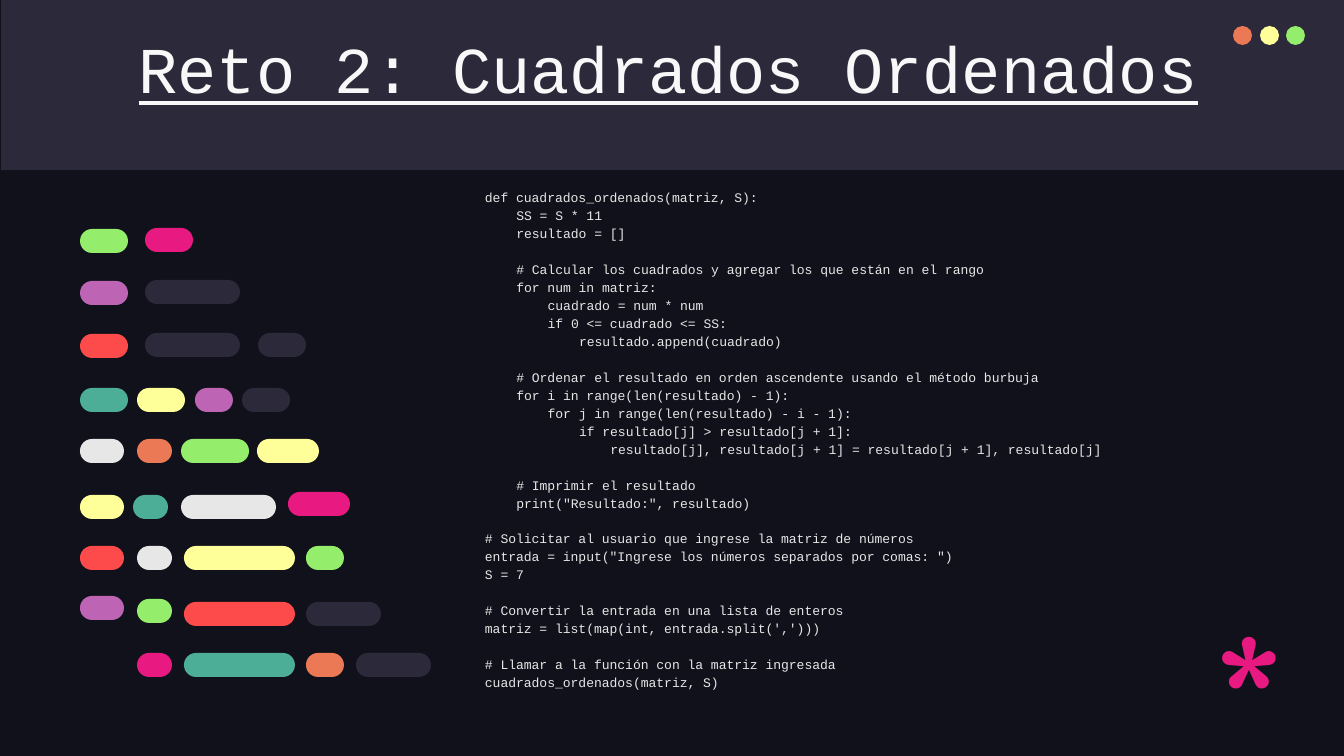
from pptx import Presentation
from pptx.dml.color import RGBColor
from pptx.enum.shapes import MSO_SHAPE as SHAPE
from pptx.enum.text import MSO_ANCHOR as ANCHOR, PP_ALIGN as ALIGN
from pptx.util import Pt

PX = 9144000 / 1344  # EMU per px, slide is 1344 x 756 px
COLORS = {
    "background": "10111A", "dark": "2C293A", "white": "F8F8F8",
    "light": "E7E7E7", "orange": "EC7955", "yellow": "FFFF99",
    "green": "94EE6B", "pink": "E81A81", "purple": "BD64B5",
    "red": "FD4A4A", "teal": "4CAE97",
}

presentation = Presentation()
presentation.slide_width = round(1344 * PX)
presentation.slide_height = round(756 * PX)
slide = presentation.slides.add_slide(presentation.slide_layouts[6])
slide.background.fill.solid()
slide.background.fill.fore_color.rgb = RGBColor.from_string(COLORS["background"])


def add_block(kind, left, top, width, height, color):
    shape = slide.shapes.add_shape(kind, *(round(n * PX) for n in (left, top, width, height)))
    shape.shadow.inherit = False
    shape.fill.solid()
    shape.fill.fore_color.rgb = RGBColor.from_string(COLORS[color])
    shape.line.fill.background()
    return shape


def add_text(left, top, width, height, lines, font_name, size, color):
    box = slide.shapes.add_textbox(*(round(n * PX) for n in (left, top, width, height)))
    frame = box.text_frame
    frame.word_wrap = True
    frame.vertical_anchor = ANCHOR.TOP
    frame.margin_left = frame.margin_right = round(13 * PX)
    frame.margin_top = frame.margin_bottom = round(13 * PX)
    frame.text = "\n".join(lines)
    for paragraph in frame.paragraphs:
        paragraph.font.name = font_name
        paragraph.font.size = Pt(size)
        paragraph.font.color.rgb = RGBColor.from_string(COLORS[color])
    return frame


# Header band with window dots
add_block(SHAPE.RECTANGLE, 1, 0, 1343, 170, "dark")
for left, color in ((1233, "orange"), (1260, "yellow"), (1286, "green")):
    add_block(SHAPE.OVAL, left, 26, 19, 19, color)

# Title
title = add_text(102, 3, 1133, 85, ["Reto 2: Cuadrados Ordenados"], "Courier New", 35, "white")
title.margin_top = round(25 * PX)
title.paragraphs[0].alignment = ALIGN.CENTER
title.paragraphs[0].font.underline = True

# Pills that stand for lines of code: left, top, width, color
PILLS = [
    (80, 229, 48, "green"), (145, 228, 48, "pink"),
    (80, 281, 48, "purple"), (145, 280, 95, "dark"),
    (80, 334, 48, "red"), (145, 333, 95, "dark"), (258, 333, 48, "dark"),
    (80, 388, 48, "teal"), (137, 388, 48, "yellow"), (195, 388, 38, "purple"),
    (242, 388, 48, "dark"),
    (80, 439, 44, "light"), (137, 439, 35, "orange"), (181, 439, 68, "green"),
    (257, 439, 62, "yellow"),
    (80, 495, 44, "yellow"), (133, 495, 35, "teal"), (181, 495, 95, "light"),
    (288, 492, 62, "pink"),
    (80, 546, 44, "red"), (137, 546, 35, "light"), (184, 546, 111, "yellow"),
    (306, 546, 38, "green"),
    (80, 596, 44, "purple"), (137, 599, 35, "green"), (184, 602, 111, "red"),
    (306, 602, 75, "dark"),
    (137, 653, 35, "pink"), (184, 653, 111, "teal"), (306, 653, 38, "orange"),
    (356, 653, 75, "dark"),
]
for left, top, width, color in PILLS:
    pill = add_block(SHAPE.ROUNDED_RECTANGLE, left, top, width, 24, color)
    pill.adjustments[0] = 0.5

# Code listing: blocks of (indent level, text)
CODE = [
    [(0, "def cuadrados_ordenados(matriz, S):"),
     (1, "SS = S * 11"),
     (1, "resultado = []")],
    [(1, "# Calcular los cuadrados y agregar los que están en el rango"),
     (1, "for num in matriz:"),
     (2, "cuadrado = num * num"),
     (2, "if 0 <= cuadrado <= SS:"),
     (3, "resultado.append(cuadrado)")],
    [(1, "# Ordenar el resultado en orden ascendente usando el método burbuja"),
     (1, "for i in range(len(resultado) - 1):"),
     (2, "for j in range(len(resultado) - i - 1):"),
     (3, "if resultado[j] > resultado[j + 1]:"),
     (4, "resultado[j], resultado[j + 1] = resultado[j + 1], resultado[j]")],
    [(1, "# Imprimir el resultado"),
     (1, 'print("Resultado:", resultado)')],
    [(0, "# Solicitar al usuario que ingrese la matriz de números"),
     (0, 'entrada = input("Ingrese los números separados por comas: ")'),
     (0, "S = 7")],
    [(0, "# Convertir la entrada en una lista de enteros"),
     (0, "matriz = list(map(int, entrada.split(',')))")],
    [(0, "# Llamar a la función con la matriz ingresada"),
     (0, "cuadrados_ordenados(matriz, S)")],
]
lines = [text for block in CODE for _, text in block]
code = add_text(472, 174, 730, 452, lines, "Courier New", 7, "light")
paragraphs = iter(code.paragraphs)
for block_index, block in enumerate(CODE):
    for line_index, (level, _) in enumerate(block):
        paragraph = next(paragraphs)
        paragraph.line_spacing = 1.15
        if block_index and not line_index:
            paragraph.space_before = Pt(9.6)
        paragraph._p.get_or_add_pPr().set("marL", str(level * Pt(16.8)))

# Asterisk
add_text(1202, 585, 77, 117, ["*"], "Comfortaa", 96, "pink")

presentation.save("out.pptx")
